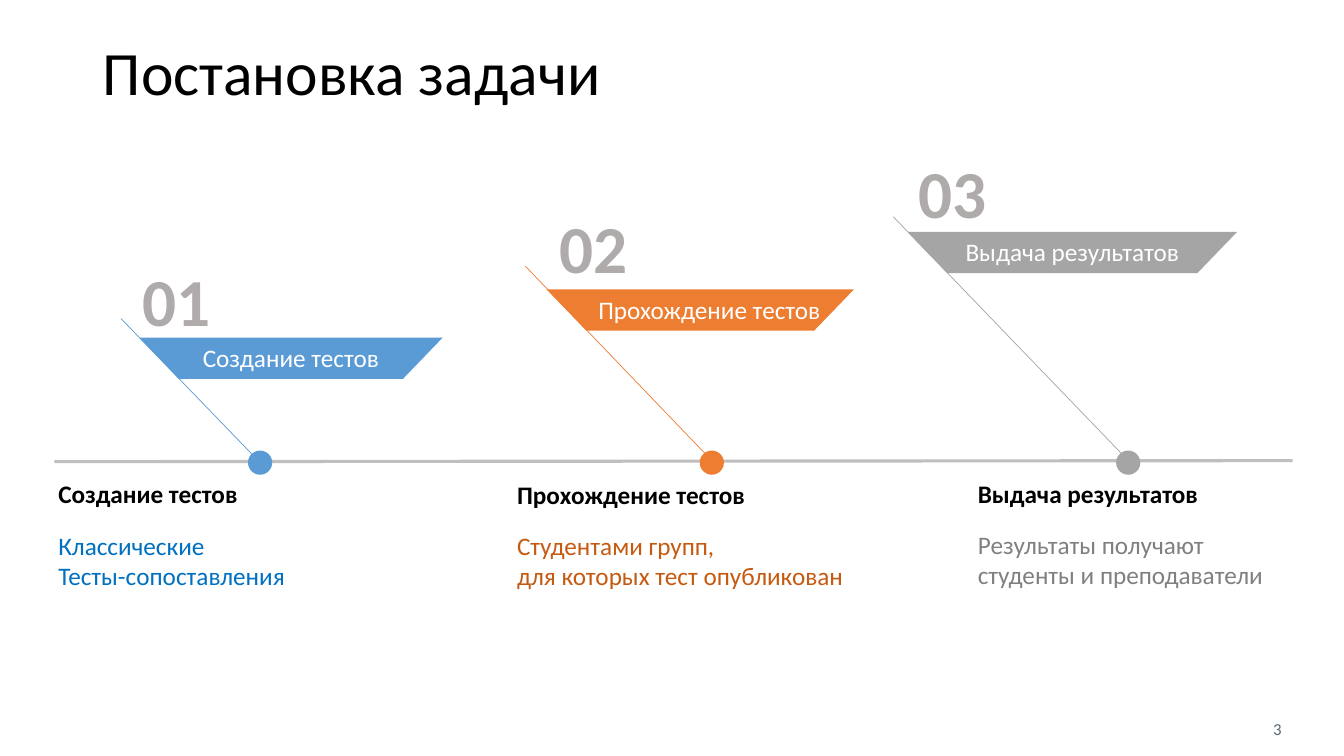
from dataclasses import dataclass

from lxml.etree import SubElement
from pptx import Presentation
from pptx.dml.color import RGBColor
from pptx.enum.shapes import MSO_CONNECTOR, MSO_SHAPE
from pptx.enum.text import MSO_ANCHOR, MSO_AUTO_SIZE, PP_ALIGN
from pptx.oxml.ns import qn
from pptx.util import Inches, Pt

COLORS = {
    "black": "000000", "white": "FFFFFF", "number": "AFABAB",
    "axis": "BFBFBF", "page": "576973",
    "blue": "5B9BD5", "orange": "ED7D31", "gray": "A5A5A5",
    "blue_text": "0070C0", "orange_text": "C55A11", "gray_text": "808080",
}


def color(name):
    return RGBColor.from_string(COLORS[name])


def inches(values):
    return [Inches(value) for value in values]


@dataclass
class Stage:
    """One step of the timeline; boxes are left, top, width, height."""
    number: str
    name: str
    details: list
    color: str
    number_at: tuple
    stem: tuple
    dot_left: float
    banner: tuple
    label: tuple
    heading: tuple
    details_at: tuple


STAGES = [
    Stage("01", "Создание тестов", ["Классические", "Тесты-сопоставления"], "blue",
          (1.31, 2.52), (1.2, 3.16, 2.58, 4.59), 2.46,
          (1.38, 3.35, 3.01, 0.41), (1.79, 3.35, 2.19, 0.4),
          (0.48, 4.7, 1.99, 0.4), (0.48, 5.21, 2.47, 0.71)),
    Stage("02", "Прохождение тестов",
          ["Студентами групп,", "для которых тест опубликован"], "orange",
          (5.44, 1.99), (5.21, 2.64, 7.06, 4.57), 6.94,
          (5.42, 2.87, 3.05, 0.41), (5.39, 2.87, 3.29, 0.4),
          (5.03, 4.71, 2.47, 0.4), (5.03, 5.21, 3.47, 0.71)),
    Stage("03", "Выдача результатов",
          ["Результаты получают", "студенты и преподаватели"], "gray",
          (9, 1.45), (8.86, 2.15, 11.21, 4.59), 11.07,
          (9, 2.3, 3.27, 0.41), (9.45, 2.3, 2.37, 0.4),
          (9.6, 4.7, 2.41, 0.4), (9.6, 5.2, 3.09, 0.71)),
]


class TimelineSlide:
    font = "Calibri"

    def __init__(self, deck):
        self.slide = deck.slides.add_slide(deck.slide_layouts[5])
        self.shapes = self.slide.shapes

    def fill_text(self, frame, lines, size, ink, bold=False, align=PP_ALIGN.LEFT,
                  spacing=None):
        for index, line in enumerate(lines):
            para = frame.paragraphs[0] if index == 0 else frame.add_paragraph()
            para.alignment = align
            para.line_spacing = spacing
            span = para.add_run()
            span.text = line
            span.font.color.rgb = color(ink)
            for key, value in {"name": self.font, "size": Pt(size), "bold": bold}.items():
                setattr(span.font, key, value)

    def title(self, text, at):
        box = self.shapes.title
        for key, value in zip(("left", "top", "width", "height"), inches(at)):
            setattr(box, key, value)
        frame = box.text_frame
        frame.vertical_anchor = MSO_ANCHOR.MIDDLE
        frame.auto_size = MSO_AUTO_SIZE.NONE
        self.fill_text(frame, [text], 44, "black", spacing=0.9)

    def text(self, lines, at, size, ink, parent=None, wrap=False,
             anchor=MSO_ANCHOR.TOP, **style):
        frame = (parent or self.shapes).add_textbox(*inches(at)).text_frame
        settings = {"word_wrap": wrap, "vertical_anchor": anchor,
                    "auto_size": MSO_AUTO_SIZE.SHAPE_TO_FIT_TEXT}
        for key, value in settings.items():
            setattr(frame, key, value)
        self.fill_text(frame, lines, size, ink, **style)

    def line(self, ends, ink, width):
        line = self.shapes.add_connector(MSO_CONNECTOR.STRAIGHT, *inches(ends))
        line.line.color.rgb = color(ink)
        line.line.width = Pt(width)
        SubElement(line._element.spPr, qn("a:effectLst"))

    def shape(self, kind, at, ink, parent=None):
        shape = (parent or self.shapes).add_shape(kind, *inches(at))
        shape.shadow.inherit = False
        shape.fill.solid()
        shape.fill.fore_color.rgb = color(ink)
        shape.line.fill.background()
        return shape

    def banner(self, stage):
        """Group an upside-down trapezoid with its label."""
        group = self.shapes.add_group_shape().shapes
        trapezoid = self.shape(MSO_SHAPE.TRAPEZOID, stage.banner, stage.color, group)
        trapezoid.adjustments[0] = 0.964
        trapezoid.rotation = 180
        self.text([stage.name], stage.label, 18, "white", group, True,
                  align=PP_ALIGN.CENTER)


def main():
    deck = Presentation()
    deck.slide_width, deck.slide_height = inches((13.33, 7.5))
    page = TimelineSlide(deck)
    page.title("Постановка задачи", (0.92, 0.27, 11.5, 0.96))
    for stage in STAGES:
        page.text([stage.number], (*stage.number_at, 0.89, 0.91), 48, "number",
                  anchor=MSO_ANCHOR.MIDDLE, bold=True, align=PP_ALIGN.CENTER)
        page.line(stage.stem, stage.color, 0.5)
    page.line((0.54, 4.58, 12.82, 4.57), "axis", 2.25)
    for stage in STAGES:
        page.shape(MSO_SHAPE.OVAL, (stage.dot_left, 4.47, 0.24, 0.24), stage.color)
        page.banner(stage)
        page.text([stage.name], stage.heading, 18, "black", bold=True)
        page.text(stage.details, stage.details_at, 18, f"{stage.color}_text")
    page.text(["3"], (9.81, 7.07, 3, 0.31), 12, "page", wrap=True,
              anchor=MSO_ANCHOR.MIDDLE, align=PP_ALIGN.RIGHT)
    deck.save("out.pptx")


if __name__ == "__main__":
    main()
